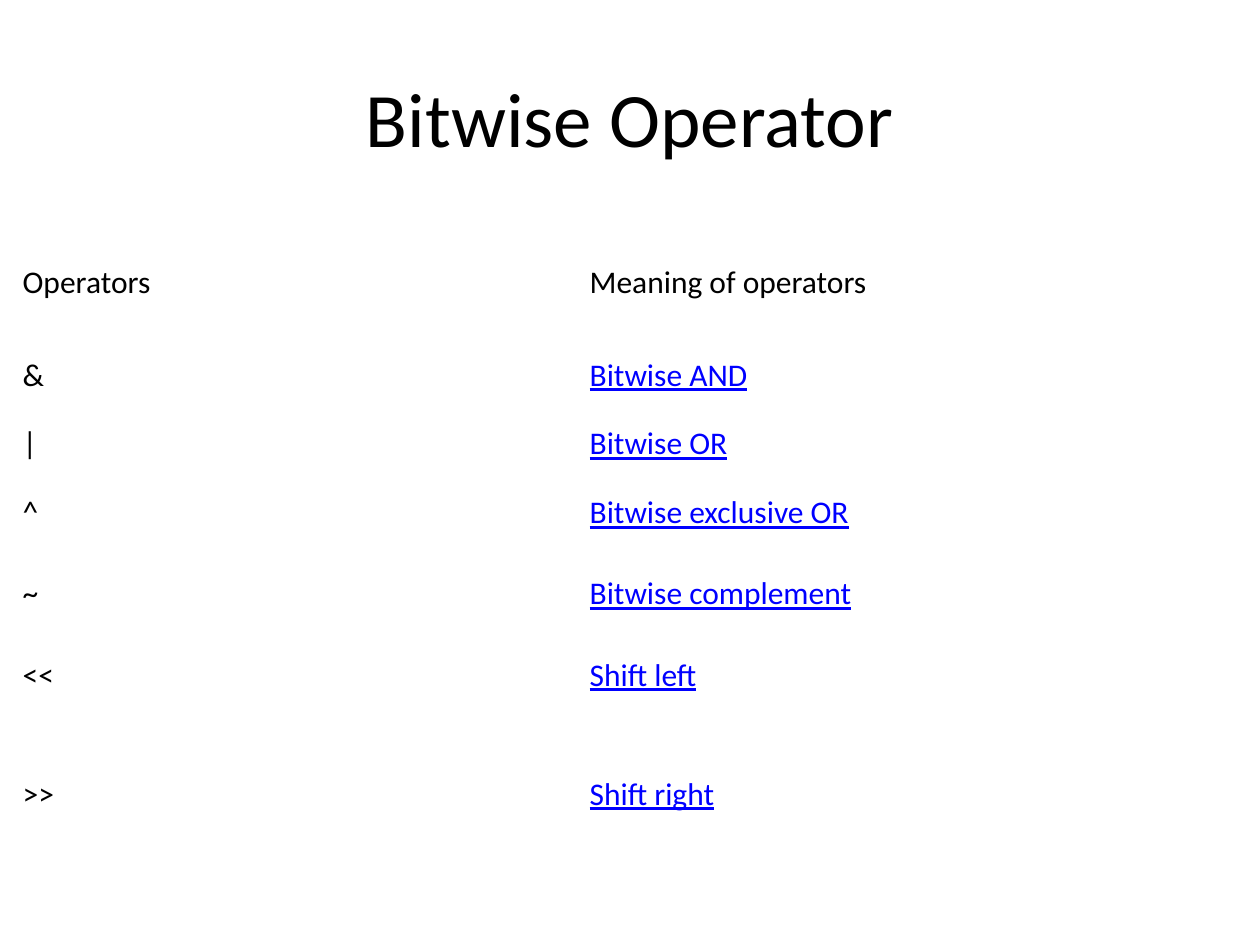
"""Build a slide with a table of the bitwise operators."""
import pptx
import pptx.dml.color
import pptx.enum.text
import pptx.util

Inches = pptx.util.Inches
COLORS = {"text": "000000", "link": "0000FF"}
MIDDLE = pptx.enum.text.MSO_ANCHOR.MIDDLE
ROWS = [
    ("Operators", "Meaning of operators", 1.15),
    ("&", "Bitwise AND", 0.32),
    ("|", "Bitwise OR", 0.77),
    ("^", "Bitwise exclusive OR", 0.32),
    ("~", "Bitwise complement", 0.97),
    ("<<", "Shift left", 0.32),
    (">>", "Shift right", 1.57),
]


def add_run(paragraph, text, size, color, underline=False):
    run = paragraph.add_run()
    run.text = text
    run.font.name = "Calibri"
    run.font.size = pptx.util.Pt(size)
    run.font.bold = False
    run.font.underline = underline
    run.font.color.rgb = pptx.dml.color.RGBColor.from_string(COLORS[color])


presentation = pptx.Presentation()
presentation.slide_width = Inches(10)
presentation.slide_height = Inches(7.5)
slide = presentation.slides.add_slide(presentation.slide_layouts[6])

title = slide.shapes.add_textbox(Inches(0.5), Inches(0.3), Inches(9), Inches(1.25))
title.text_frame.word_wrap = True
title.text_frame.vertical_anchor = MIDDLE
title_paragraph = title.text_frame.paragraphs[0]
title_paragraph.alignment = pptx.enum.text.PP_ALIGN.CENTER
add_run(title_paragraph, "Bitwise Operator", 44, "text")

table_height = sum(height for _, _, height in ROWS)
table = slide.shapes.add_table(
    len(ROWS), 2, Inches(0.17), Inches(1.67), Inches(9), Inches(table_height)
).table
table.first_row = False
table.horz_banding = False

for row_index, (operator, meaning, height) in enumerate(ROWS):
    table.rows[row_index].height = Inches(height)
    for column_index, text in enumerate((operator, meaning)):
        cell = table.cell(row_index, column_index)
        cell.fill.background()
        cell.vertical_anchor = MIDDLE
        cell.margin_left = cell.margin_right = Inches(0.01)
        cell.margin_top = cell.margin_bottom = Inches(0.01)
        is_link = row_index > 0 and column_index == 1
        color = "link" if is_link else "text"
        add_run(cell.text_frame.paragraphs[0], text, 18, color, is_link)

presentation.save("out.pptx")
